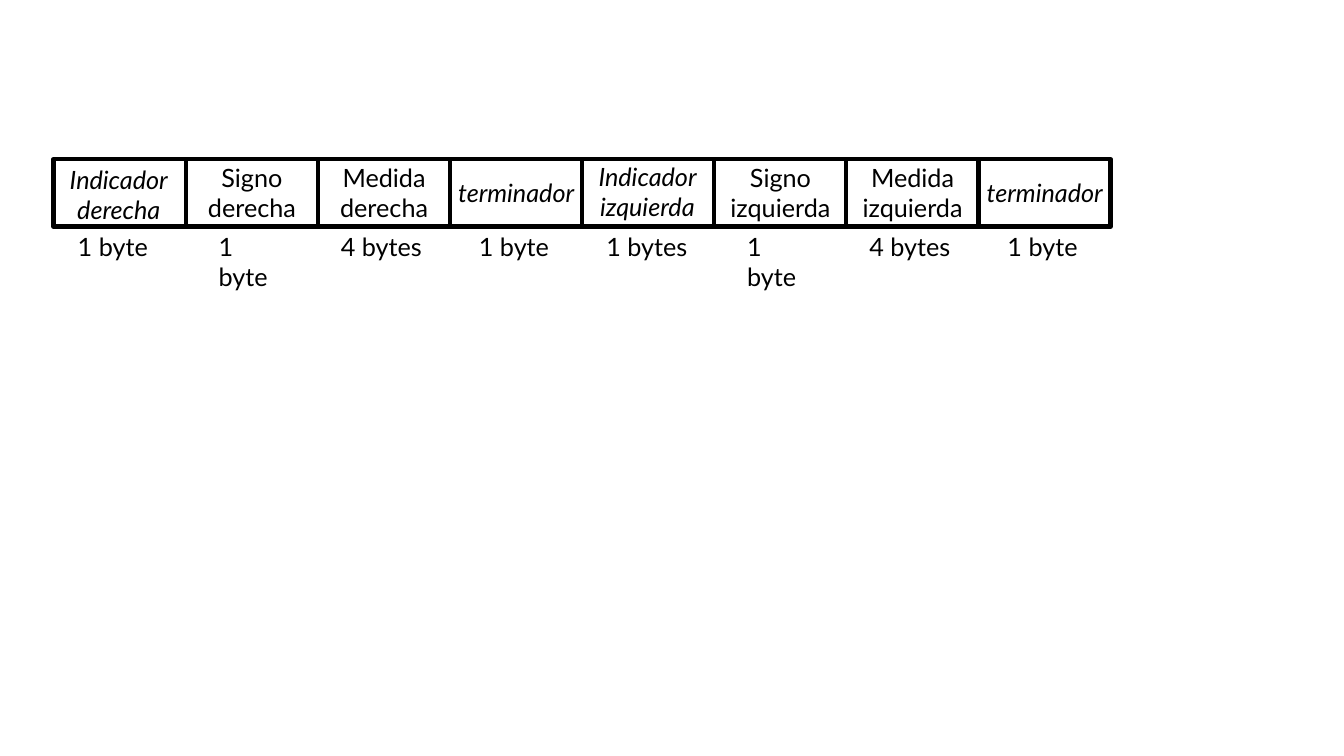
from collections import namedtuple

from pptx import Presentation
from pptx import util as u
from pptx.dml.color import RGBColor
from pptx.enum import shapes, text

BLACK = "000000"
FIELD_WIDTH, FIELD_HEIGHT = 3.33, 1.7

Style = namedtuple("Style", "name_dx name_dy name_width italic size_dx size_width")
INDICATOR = Style(-0.03, 0, 3.35, True, 0.36, 2.67)
SIGN = Style(0.08, -0.05, 3.18, False, 0.58, 2.25)
MEASURE = Style(0.08, -0.05, 3.18, False, 0.33, 2.67)
TERMINATOR = Style(-0.33, 0.33, 4, True, 0.48, 2.67)

FIELDS = [
    (INDICATOR, ["Indicador", "derecha"], "1 byte"),
    (SIGN, ["Signo", "derecha"], "1 byte"),
    (MEASURE, ["Medida", "derecha"], "4 bytes"),
    (TERMINATOR, ["terminador"], "1 byte"),
    (INDICATOR._replace(name_dy=-0.08), ["Indicador izquierda"], "1 bytes"),
    (SIGN, ["Signo", "izquierda"], "1 byte"),
    (MEASURE, ["Medida", "izquierda"], "4 bytes"),
    (TERMINATOR, ["terminador"], "1 byte"),
]


def color(value):
    return RGBColor.from_string(value)


def add_text(field, left, top, width, lines, align, italic=False):
    height = 1.02 if lines == ["terminador"] or align == text.PP_ALIGN.LEFT else 1.8
    label = field.shapes.add_textbox(u.Cm(left), u.Cm(top), u.Cm(width), u.Cm(height))
    frame = label.text_frame
    frame.word_wrap = True
    frame.auto_size = text.MSO_AUTO_SIZE.SHAPE_TO_FIT_TEXT
    frame.text = "\n".join(lines)
    for paragraph in frame.paragraphs:
        paragraph.alignment = align
        paragraph.font.name = "Lato"
        paragraph.font.size = u.Pt(18)
        paragraph.font.italic = italic
        paragraph.font.color.rgb = color(BLACK)


def add_field(slide, left, top, style, name, size):
    field = slide.shapes.add_group_shape()
    add_text(field, left + style.size_dx, top + FIELD_HEIGHT, style.size_width,
             [size], text.PP_ALIGN.LEFT)
    frame = field.shapes.add_shape(shapes.MSO_SHAPE.RECTANGLE, u.Cm(left), u.Cm(top),
                                   u.Cm(FIELD_WIDTH), u.Cm(FIELD_HEIGHT))
    frame.shadow.inherit = False
    frame.fill.background()
    frame.line.color.rgb = color(BLACK)
    frame.line.width = u.Pt(3)
    add_text(field, left + style.name_dx, top + style.name_dy, style.name_width,
             name, text.PP_ALIGN.CENTER, style.italic)


def add_message_format(slide, left, top):
    for index, (style, name, size) in enumerate(FIELDS):
        add_field(slide, left + index * FIELD_WIDTH, top, style, name, size)


def main():
    deck = Presentation()
    deck.slide_width, deck.slide_height = u.Cm(33.87), u.Cm(19.05)
    slide = deck.slides.add_slide(deck.slide_layouts[6])
    add_message_format(slide, 1.35, 4.01)
    deck.save("out.pptx")


if __name__ == "__main__":
    main()
